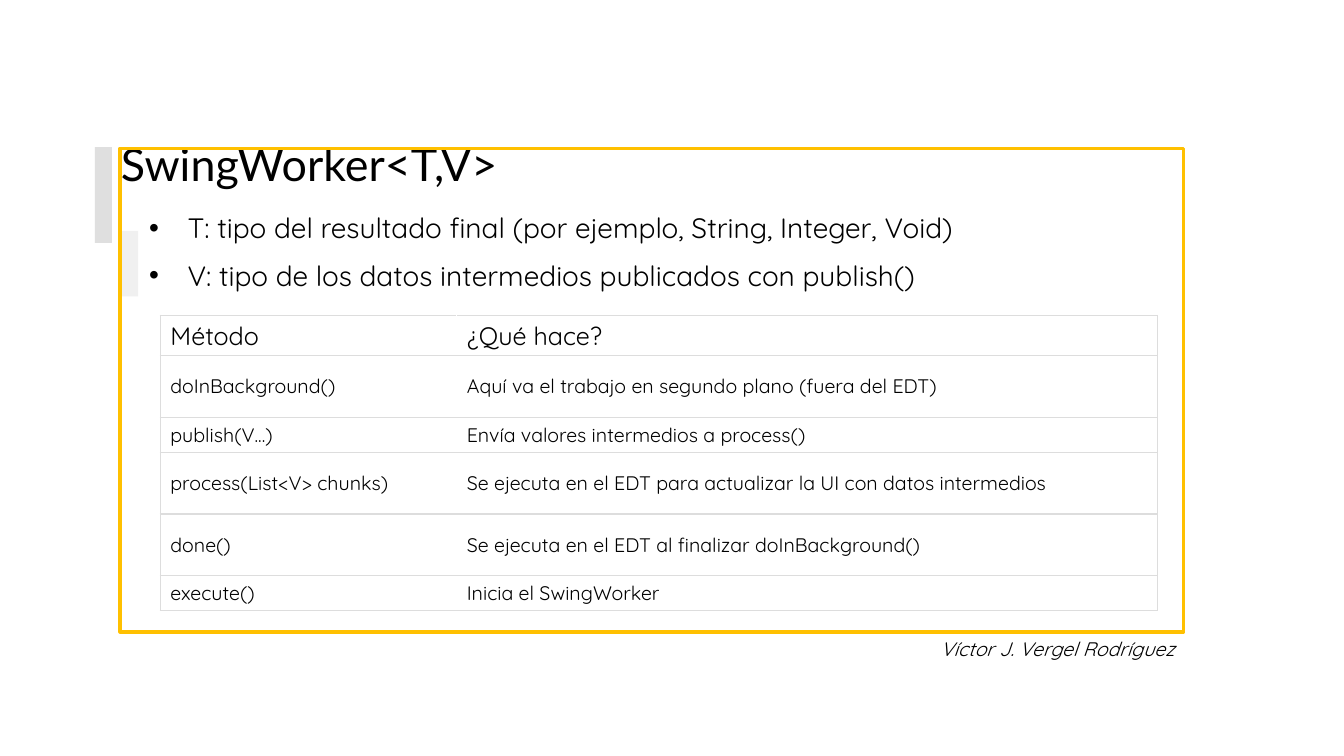
from pptx import Presentation
from pptx.dml.color import RGBColor as Rgb
from pptx.enum.shapes import MSO_SHAPE as Kind
from pptx.enum.text import MSO_ANCHOR as Anchor, MSO_AUTO_SIZE as Auto, PP_ALIGN as Align
from pptx.oxml.ns import qn
from pptx.util import Inches, Pt
from lxml.etree import SubElement as Sub

HUES = {"ink": "000000", "paper": "FFFFFF", "bar": "DFDFDF", "pale": "F0F0F0",
        "gold": "FFC000", "rule": "DDDDDD"}
ITEMS = ["T: tipo del resultado final (por ejemplo, String, Integer, Void)",
         "V: tipo de los datos intermedios publicados con publish()"]
ROWS = [
    (0.35, "Método", "¿Qué hace?"),
    (0.61, "doInBackground()", "Aquí va el trabajo en segundo plano (fuera del EDT)"),
    (0.35, "publish(V...)", "Envía valores intermedios a process()"),
    (0.61, "process(List<V> chunks)",
     "Se ejecuta en el EDT para actualizar la UI con datos intermedios"),
    (0.61, "done()", "Se ejecuta en el EDT al finalizar doInBackground()"),
    (0.35, "execute()", "Inicia el SwingWorker"),
]


def hue(name):
    return Rgb.from_string(HUES[name])


def apply(item, form):
    for key, value in form.items():
        setattr(item, key, value)


def style(para, size, face="Quicksand", **form):
    apply(para.font, {"size": Pt(size), "name": face, "bold": False, **form})
    para.font.color.rgb = hue("ink")


def place(shape, box):
    apply(shape, dict(zip(("left", "top", "width", "height"), map(Inches, box))))


def add_rect(slide, box, fill=None, line=None):
    rect = slide.shapes.add_shape(Kind.RECTANGLE, *map(Inches, box))
    rect.shadow.inherit = False
    if fill:
        rect.fill.solid()
        rect.fill.fore_color.rgb = hue(fill)
    else:
        rect.fill.background()
    if line:
        rect.line.color.rgb = hue(line)
        rect.line.width = Pt(2.25)
    else:
        rect.line.fill.background()


def add_frame(slide, box):
    left, top, width, height = box
    add_rect(slide, (left - 0.25, top - 0.01, 0.17, 0.95), fill="bar")
    add_rect(slide, (left, top + 0.82, 0.18, 0.65), fill="pale")
    add_rect(slide, box, line="gold")


def add_title(slide, box):
    title = slide.shapes.title
    place(title, box)
    frame = title.text_frame
    apply(frame, {"text": "SwingWorker<T,V>", "vertical_anchor": Anchor.MIDDLE,
                  "auto_size": Auto.NONE, "word_wrap": True,
                  "margin_top": 0, "margin_bottom": Inches(0.05)})
    para = frame.paragraphs[0]
    apply(para, {"alignment": Align.LEFT, "line_spacing": 0.9})
    style(para, 32, "Lato")


def add_list(slide, box):
    body = slide.placeholders[1]
    place(body, box)
    frame = body.text_frame
    apply(frame, {"text": "\n".join(ITEMS), "auto_size": Auto.NONE,
                  "word_wrap": True, "vertical_anchor": Anchor.TOP})
    for spot, para in enumerate(frame.paragraphs):
        apply(para, {"alignment": Align.JUSTIFY, "space_before": Pt(10 if spot else 0)})
        props = para._p.get_or_add_pPr()
        props.set("marL", str(Inches(0.38)))
        props.set("indent", str(-Inches(0.38)))
        Sub(props, qn("a:buFont"), typeface="Arial")
        Sub(props, qn("a:buChar"), char="•")
        style(para, 20)


def add_edge(cell, side):
    edge = Sub(cell._tc.get_or_add_tcPr(), qn("a:ln" + side), w=str(Pt(1)))
    fill = Sub(edge, qn("a:solidFill"))
    Sub(fill, qn("a:srgbClr"), val=HUES["rule"])


def add_grid(slide, box):
    grid = slide.shapes.add_table(len(ROWS), 2, *map(Inches, box)).table
    apply(grid, {"first_row": False, "horz_banding": False})
    for col, width in zip(grid.columns, (2.94, box[2] - 2.94)):
        col.width = Inches(width)
    for row, (height, *texts) in enumerate(ROWS):
        grid.rows[row].height = Inches(height)
        for col, text in enumerate(texts):
            cell = grid.cell(row, col)
            apply(cell, {"text": text, "vertical_anchor": Anchor.MIDDLE})
            for side in ("LTB", "RTB")[col]:
                add_edge(cell, side)
            cell.fill.solid()
            cell.fill.fore_color.rgb = hue("paper")
            style(cell.text_frame.paragraphs[0], 14 if row else 18)


def add_author(slide, box):
    frame = slide.shapes.add_textbox(*map(Inches, box)).text_frame
    apply(frame, {"text": "Víctor J. Vergel Rodríguez", "word_wrap": True})
    para = frame.paragraphs[0]
    para.alignment = Align.RIGHT
    style(para, 14, italic=True)


def main():
    deck = Presentation()
    apply(deck, {"slide_width": Inches(13.33), "slide_height": Inches(7.5)})
    slide = deck.slides.add_slide(deck.slide_layouts[1])
    add_frame(slide, (1.19, 1.47, 10.55, 4.8))
    add_author(slide, (8.99, 6.27, 2.76, 0.34))
    add_list(slide, (1.38, 2.04, 10.37, 3.67))
    add_title(slide, (1.1, 1.31, 10.64, 0.74))
    add_grid(slide, (1.59, 3.13, 9.89, 2.94))
    deck.save("out.pptx")


if __name__ == "__main__":
    main()
